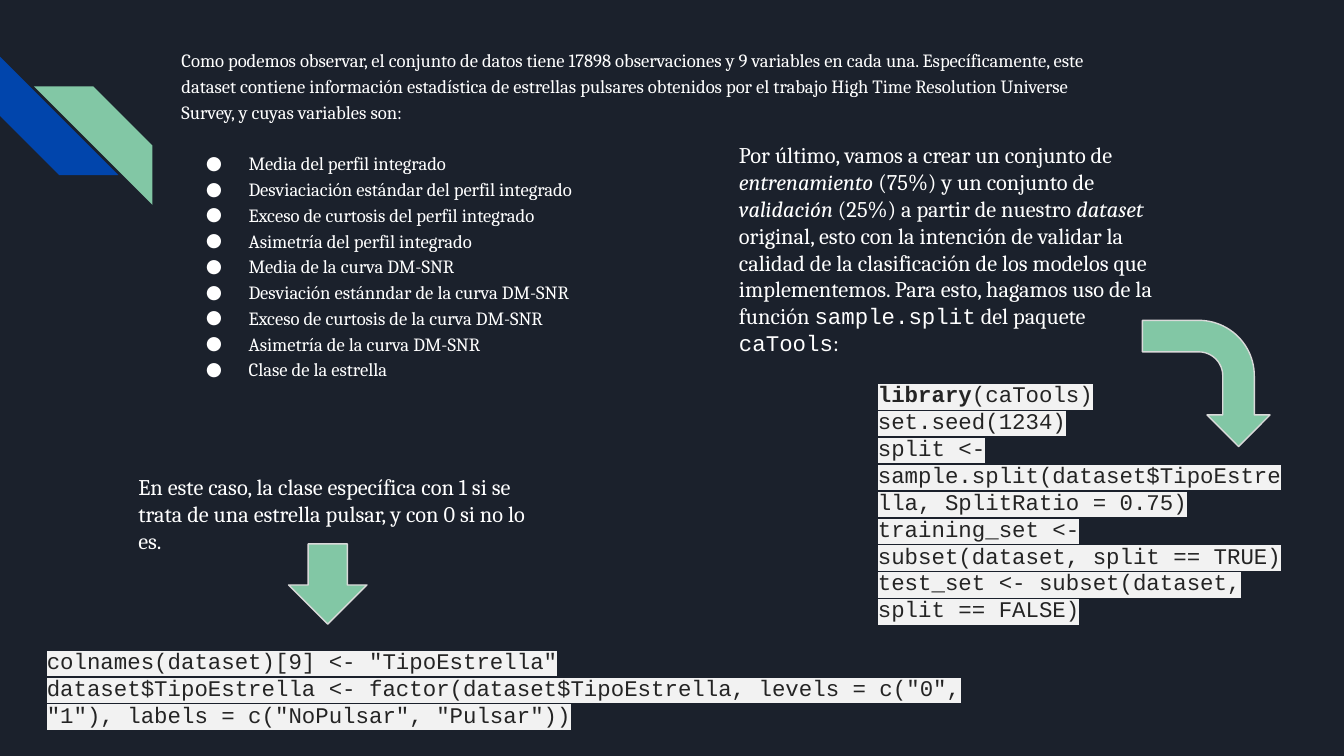
from dataclasses import dataclass

from lxml import etree
from pptx import Presentation
from pptx import util as u
from pptx.dml import color
from pptx.enum import shapes, text
from pptx.oxml import ns

COLORS = {
    "background": "1B212C",
    "blue": "0145AC",
    "green": "82C7A5",
    "outline": "D9D9D9",
    "text": "FFFFFF",
    "code": "242424",
    "highlight": "F2F2F2",
}
PROSE, CODE = "Cambria", "Courier New"
SHAPE = shapes.MSO_SHAPE


@dataclass
class Frame:
    left: float
    top: float
    width: float
    height: float

    def lengths(self) -> list:
        return [u.Pt(v) for v in (self.left, self.top, self.width, self.height)]


@dataclass
class Span:
    words: str
    font: str = PROSE
    italic: bool = False
    bold: bool = False
    color: str = "text"
    highlight: str = ""


@dataclass
class Figure:
    kind: SHAPE
    frame: Frame
    fill: str
    adjustments: tuple
    rotation: float = 0
    flipped: bool = False
    outlined: bool = False


@dataclass
class TextBlock:
    frame: Frame
    paragraphs: list


def code(words: str, bold: bool = False) -> Span:
    return Span(words, CODE, bold=bold, color="code", highlight="highlight")


def rgb(name: str) -> color.RGBColor:
    return color.RGBColor.from_string(COLORS[name])


def add_hex(parent, tag: str, name: str):
    """Append a colour-holding element such as a:buClr or a:highlight."""
    holder = etree.SubElement(parent, ns.qn(tag))
    etree.SubElement(holder, ns.qn("a:srgbClr"), val=COLORS[name])
    return holder


def add_span(para, span: Span, size: float) -> None:
    run = para.add_run()
    run.text = span.words
    font = run.font
    font.size, font.name = u.Pt(size), span.font
    font.bold, font.italic = span.bold, span.italic
    font.color.rgb = rgb(span.color)
    if span.highlight:
        props = run._r.get_or_add_rPr()
        props.find(ns.qn("a:solidFill")).addnext(
            add_hex(props, "a:highlight", span.highlight))


def write_paragraph(para, spans: list, *, size: float = 12, spacing: float = 1,
                    after: float = 0, bullet: str = "") -> None:
    para.alignment = text.PP_ALIGN.LEFT
    para.line_spacing = spacing
    para.space_before, para.space_after = u.Pt(0), u.Pt(after)
    props = para._p.get_or_add_pPr()
    props.set("marL", str(u.Pt(36 if bullet else 0)))
    props.set("indent", str(u.Pt(-22.9 if bullet else 0)))
    if bullet:
        add_hex(props, "a:buClr", "text")
        etree.SubElement(props, ns.qn("a:buFont"), typeface=PROSE)
        etree.SubElement(props, ns.qn("a:buChar"), char=bullet)
    else:
        etree.SubElement(props, ns.qn("a:buNone"))
    for span in spans:
        add_span(para, span, size)


def prepare_frame(box):
    frame = box.text_frame
    frame.word_wrap = True
    frame.auto_size = text.MSO_AUTO_SIZE.NONE
    frame.vertical_anchor = text.MSO_ANCHOR.TOP
    frame.margin_left = frame.margin_right = u.Pt(7.2)
    frame.margin_top = frame.margin_bottom = u.Pt(7.2)
    return frame


def next_paragraph(frame, index: int):
    return frame.add_paragraph() if index else frame.paragraphs[0]


def draw_text(page, block: TextBlock) -> None:
    frame = prepare_frame(page.shapes.add_textbox(*block.frame.lengths()))
    for index, spans in enumerate(block.paragraphs):
        write_paragraph(next_paragraph(frame, index), spans)


def draw_figure(page, figure: Figure) -> None:
    shape = page.shapes.add_shape(figure.kind, *figure.frame.lengths())
    shape.shadow.inherit = False
    shape.rotation = figure.rotation
    for index, value in enumerate(figure.adjustments):
        shape.adjustments[index] = value
    shape.fill.solid()
    shape.fill.fore_color.rgb = rgb(figure.fill)
    if figure.outlined:
        shape.line.color.rgb = rgb("outline")
        shape.line.width = u.Pt(0.75)
    else:
        shape.line.fill.background()
    if figure.flipped:
        shape._element.spPr.find(ns.qn("a:xfrm")).set("flipH", "1")


def fill_body(box, frame: Frame, intro: str, items: list) -> None:
    box.left, box.top, box.width, box.height = frame.lengths()
    body = prepare_frame(box)
    for index, words in enumerate([intro, *items]):
        write_paragraph(next_paragraph(body, index), [Span(words)], size=10, spacing=1.15,
                        after=0 if index else 13.8, bullet="●" if index else "")


INTRO = ("Como podemos observar, el conjunto de datos tiene 17898 observaciones y 9 variables "
         "en cada una. Específicamente, este dataset contiene información estadística de "
         "estrellas pulsares obtenidos por el trabajo High Time Resolution Universe Survey, "
         "y cuyas variables son:")
VARIABLES = [
    "Media del perfil integrado",
    "Desviaciación estándar del perfil integrado",
    "Exceso de curtosis del perfil integrado",
    "Asimetría del perfil integrado",
    "Media de la curva DM-SNR",
    "Desviación estánndar de la curva DM-SNR",
    "Exceso de curtosis de la curva DM-SNR",
    "Asimetría de la curva DM-SNR",
    "Clase de la estrella",
]
BLOCKS = [
    TextBlock(Frame(67, 246.3, 236.2, 58.3), [[
        Span("En este caso, la clase específica con 1 si se trata de una estrella pulsar, "
             "y con 0 si no lo es.")]]),
    TextBlock(Frame(18, 339.4, 511.2, 58.3), [
        [code('colnames(dataset)[9] <- "TipoEstrella"')],
        [code('dataset$TipoEstrella <- factor(dataset$TipoEstrella, levels = c("0", "1"), '
              'labels = c("NoPulsar", "Pulsar"))')]]),
    TextBlock(Frame(388.8, 68.4, 236.2, 131), [[
        Span("Por último, vamos a crear un conjunto de "),
        Span("entrenamiento", italic=True),
        Span(" (75%) y un conjunto de "),
        Span("validación", italic=True),
        Span(" (25%) a partir de nuestro "),
        Span("dataset", italic=True),
        Span(" original, esto con la intención de validar la calidad de la clasificación de "
             "los modelos que implementemos. Para esto, hagamos uso de la función "),
        Span("sample.split", CODE),
        Span(" del paquete "),
        Span("caTools", CODE),
        Span(":")]]),
    TextBlock(Frame(463.2, 196.6, 236.2, 145.4), [
        [code("library", bold=True), code("(caTools)")],
        [code("set.seed(1234)")],
        [code("split <- sample.split(dataset$TipoEstrella, SplitRatio = 0.75)")],
        [code("training_set <- subset(dataset, split == TRUE)")],
        [code("test_set <- subset(dataset, split == FALSE)")]]),
]
STRIPES = [
    Figure(SHAPE.DIAGONAL_STRIPE, Frame(0, 30.3, 63.5, 63.5), "blue", (0.5,), rotation=270),
    Figure(SHAPE.DIAGONAL_STRIPE, Frame(18.2, 46.3, 63.5, 63.5), "green", (0.5,), flipped=True),
]
ARROWS = [
    Figure(SHAPE.DOWN_ARROW, Frame(154.6, 291.4, 42, 43), "green", (0.5, 0.5), outlined=True),
    Figure(SHAPE.BENT_ARROW, Frame(612.4, 171.2, 67.6, 68.4), "green",
           (0.25, 0.25, 0.25, 0.44), rotation=90, outlined=True),
]


def main() -> None:
    deck = Presentation()
    deck.slide_width, deck.slide_height = u.Pt(720), u.Pt(405)
    page = deck.slides.add_slide(deck.slide_layouts[1])
    page.background.fill.solid()
    page.background.fill.fore_color.rgb = rgb("background")
    title = page.shapes.title._element
    title.getparent().remove(title)
    fill_body(page.placeholders[1], Frame(90, 17.3, 502.6, 193.7), INTRO, VARIABLES)
    for stripe in STRIPES:
        draw_figure(page, stripe)
    for block in BLOCKS:
        draw_text(page, block)
    for arrow in ARROWS:
        draw_figure(page, arrow)
    deck.save("out.pptx")


if __name__ == "__main__":
    main()
